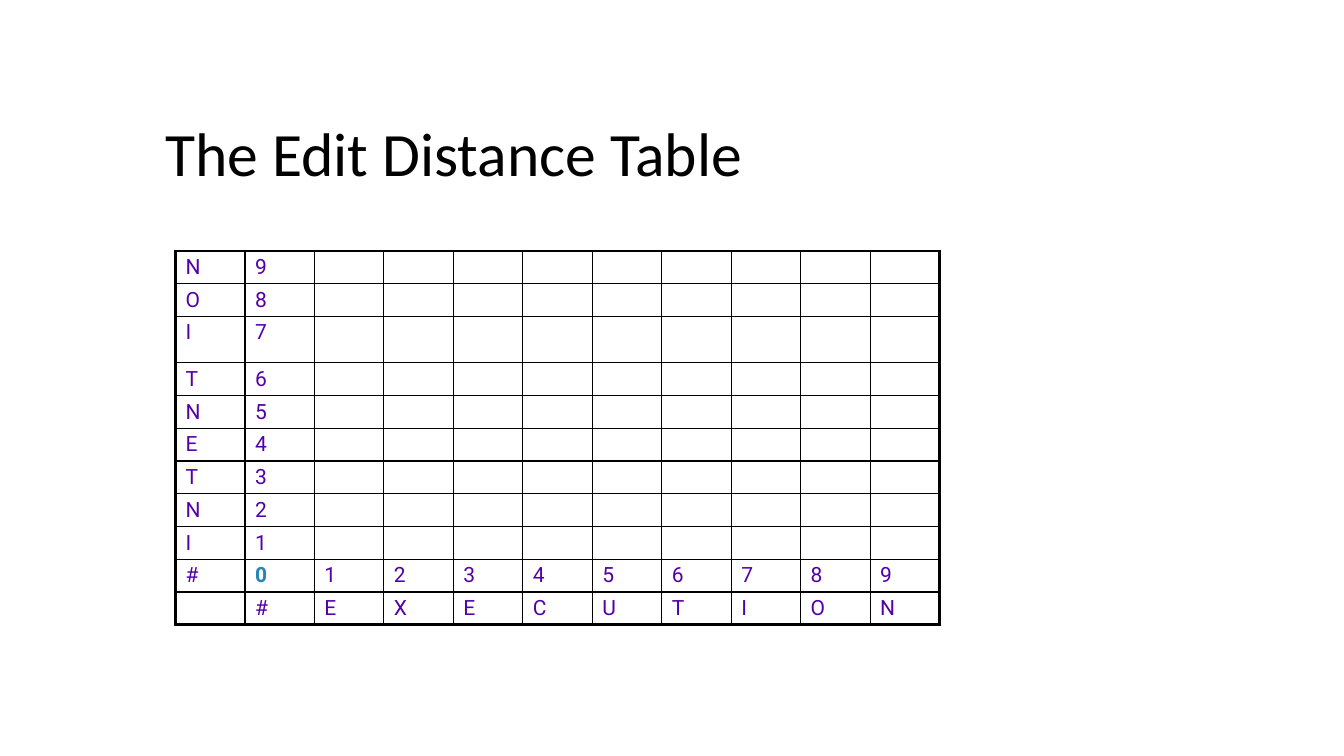
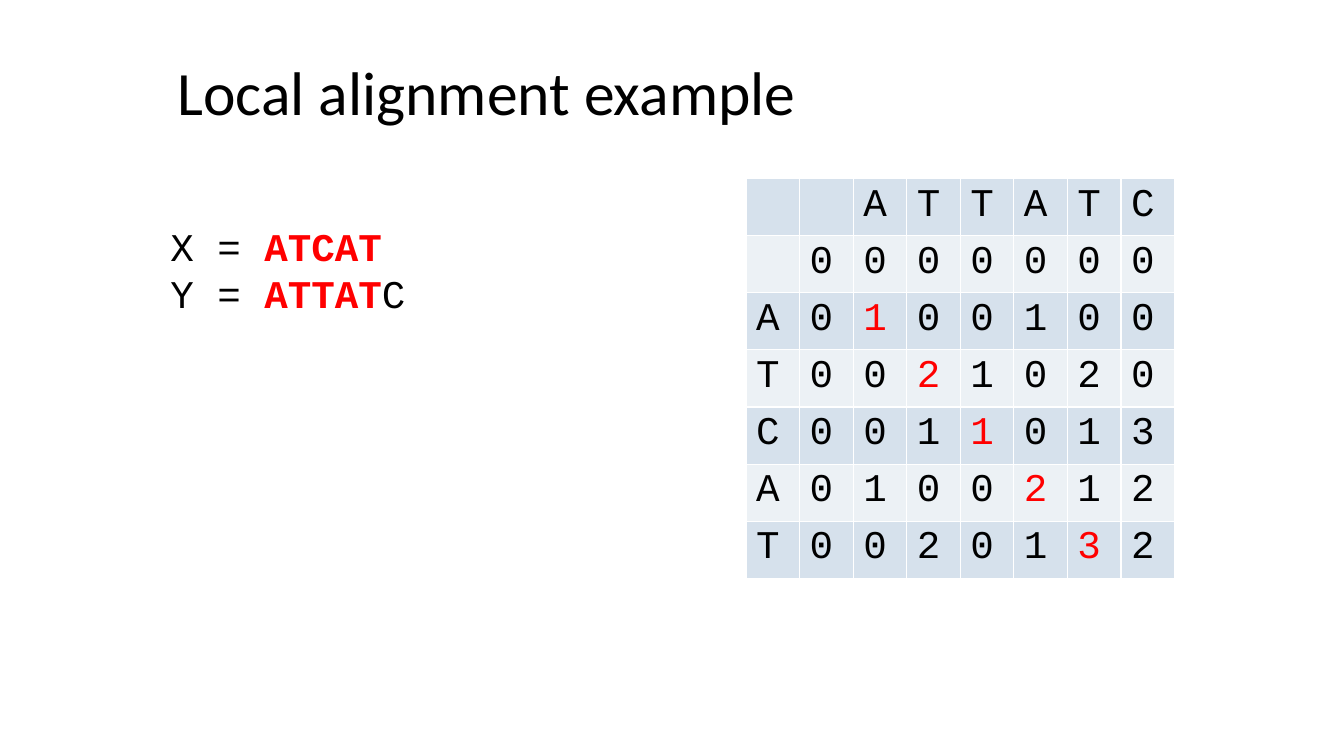
from pptx import Presentation
from pptx.dml.color import RGBColor
from pptx.enum.text import MSO_AUTO_SIZE
from pptx.oxml.ns import qn
from pptx.util import Inches, Pt
from lxml.etree import SubElement

BLACK = RGBColor(0x00, 0x00, 0x00)
WHITE = RGBColor(0xFF, 0xFF, 0xFF)
RED = RGBColor(0xFF, 0x00, 0x00)
PURPLE = RGBColor(0x54, 0x00, 0xA8)
BLUE = RGBColor(0x25, 0x84, 0xBB)
BANDS = (RGBColor(0xD6, 0xE1, 0xEC), RGBColor(0xEC, 0xF1, 0xF5))

SOURCE_WORD = "INTENTION"
TARGET_WORD = "EXECUTION"
LENGTH = len(TARGET_WORD)
EDIT_ROWS = [
    [letter, str(distance)] + [""] * LENGTH
    for distance, letter in reversed(list(enumerate(SOURCE_WORD, 1)))
] + [
    ["#", *map(str, range(LENGTH + 1))],
    ["", "#", *TARGET_WORD],
]
ZERO_CELL = (LENGTH, 1)
TALL_ROW = 2
TALL_HEIGHT = 0.46

ALIGNMENT_ROWS = [
    "  ATTATC",
    " 0000000",
    "A0100100",
    "T0021020",
    "C0011013",
    "A0100212",
    "T0020132",
]
MATCHED_CELLS = [(step, step) for step in range(2, 7)]
SEQUENCES = [
    [("X = ", False), ("ATCAT", True)],
    [("Y = ", False), ("ATTAT", True), ("C", False)],
]


def style_font(font, name, size, color):
    font.name = name
    font.size = Pt(size)
    font.color.rgb = color


def add_text_box(slide, left, top, width, height):
    box = slide.shapes.add_textbox(Inches(left), Inches(top), Inches(width), Inches(height))
    frame = box.text_frame
    frame.word_wrap = True
    frame.auto_size = MSO_AUTO_SIZE.SHAPE_TO_FIT_TEXT
    frame.margin_left = frame.margin_top = Inches(0.01)
    frame.margin_right = frame.margin_bottom = 0
    frame.paragraphs[0].space_before = Pt(1)
    return frame


def add_title(slide, text, left, top, width):
    paragraph = add_text_box(slide, left, top, width, 0.75).paragraphs[0]
    paragraph.text = text
    style_font(paragraph.font, "Calibri", 44, BLACK)


def add_grid(slide, rows, left, top, width, heights):
    frame = slide.shapes.add_table(
        len(rows), len(rows[0]), Inches(left), Inches(top), Inches(width), Inches(sum(heights))
    )
    table = frame.table
    table.first_row = table.horz_banding = False
    for column in table.columns:
        column.width = Inches(width / len(rows[0]))
    for row, height in zip(table.rows, heights):
        row.height = Inches(height)
    return table


def set_borders(cell, color, widths):
    properties = cell._tc.get_or_add_tcPr()
    for side, width in zip("LRTB", widths):
        line = SubElement(properties, qn(f"a:ln{side}"), w=str(Pt(width)))
        fill = SubElement(line, qn("a:solidFill"))
        SubElement(fill, qn("a:srgbClr"), val=str(color))


def fill_cell(cell, text, top_margin, space_before, font_name, size, color):
    text = text.strip()
    cell.margin_left = Inches(0.1)
    cell.margin_top = Inches(top_margin if text else 0)
    cell.margin_right = cell.margin_bottom = 0
    paragraph = cell.text_frame.paragraphs[0]
    if text:
        paragraph.text = text
        paragraph.space_before = Pt(space_before)
    style_font(paragraph.font, font_name, size, color)
    return paragraph


def build_edit_distance(slide):
    add_title(slide, "The Edit Distance Table", 1.63, 1.13, 6.28)
    last_row, last_column = len(EDIT_ROWS) - 1, len(EDIT_ROWS[0]) - 1
    heights = [(3.71 - TALL_HEIGHT) / last_row] * len(EDIT_ROWS)
    heights[TALL_ROW] = TALL_HEIGHT
    table = add_grid(slide, EDIT_ROWS, 1.74, 2.49, 7.58, heights)
    for r, texts in enumerate(EDIT_ROWS):
        for c, text in enumerate(texts):
            cell = table.cell(r, c)
            is_zero = (r, c) == ZERO_CELL
            color = BLUE if is_zero else PURPLE
            paragraph = fill_cell(cell, text, 0.04, 2.7, "Roboto", 15, color)
            paragraph.font.bold = is_zero
            outer_sides = (c == 0, c == last_column, r == 0, r == last_row)
            set_borders(cell, BLACK, [2.25 if outer else 1 for outer in outer_sides])
            cell.fill.background()


def build_local_alignment(slide):
    add_title(slide, "Local alignment example", 1.75, 0.53, 6.88)
    row_count = len(ALIGNMENT_ROWS)
    table = add_grid(slide, ALIGNMENT_ROWS, 7.4, 1.77, 4.25, [3.97 / row_count] * row_count)
    for r, texts in enumerate(ALIGNMENT_ROWS):
        for c, text in enumerate(texts):
            cell = table.cell(r, c)
            color = RED if (r, c) in MATCHED_CELLS else BLACK
            fill_cell(cell, text, 0.05, 3.6, "Courier New", 28, color)
            set_borders(cell, WHITE, [1] * 4)
            cell.fill.solid()
            cell.fill.fore_color.rgb = BANDS[r % 2]

    frame = add_text_box(slide, 1.68, 2.2, 2.36, 0.95)
    for index, sequence in enumerate(SEQUENCES):
        paragraph = frame.add_paragraph() if index else frame.paragraphs[0]
        paragraph.line_spacing = Pt(33.3)
        for text, matched in sequence:
            run = paragraph.add_run()
            run.text = text
            style_font(run.font, "Courier New", 28, RED if matched else BLACK)
            run.font.bold = matched


def main():
    presentation = Presentation()
    presentation.slide_width = Inches(13.33)
    presentation.slide_height = Inches(7.5)
    blank_layout = presentation.slide_layouts[6]
    for build in (build_edit_distance, build_local_alignment):
        build(presentation.slides.add_slide(blank_layout))
    presentation.save("out.pptx")


if __name__ == "__main__":
    main()
